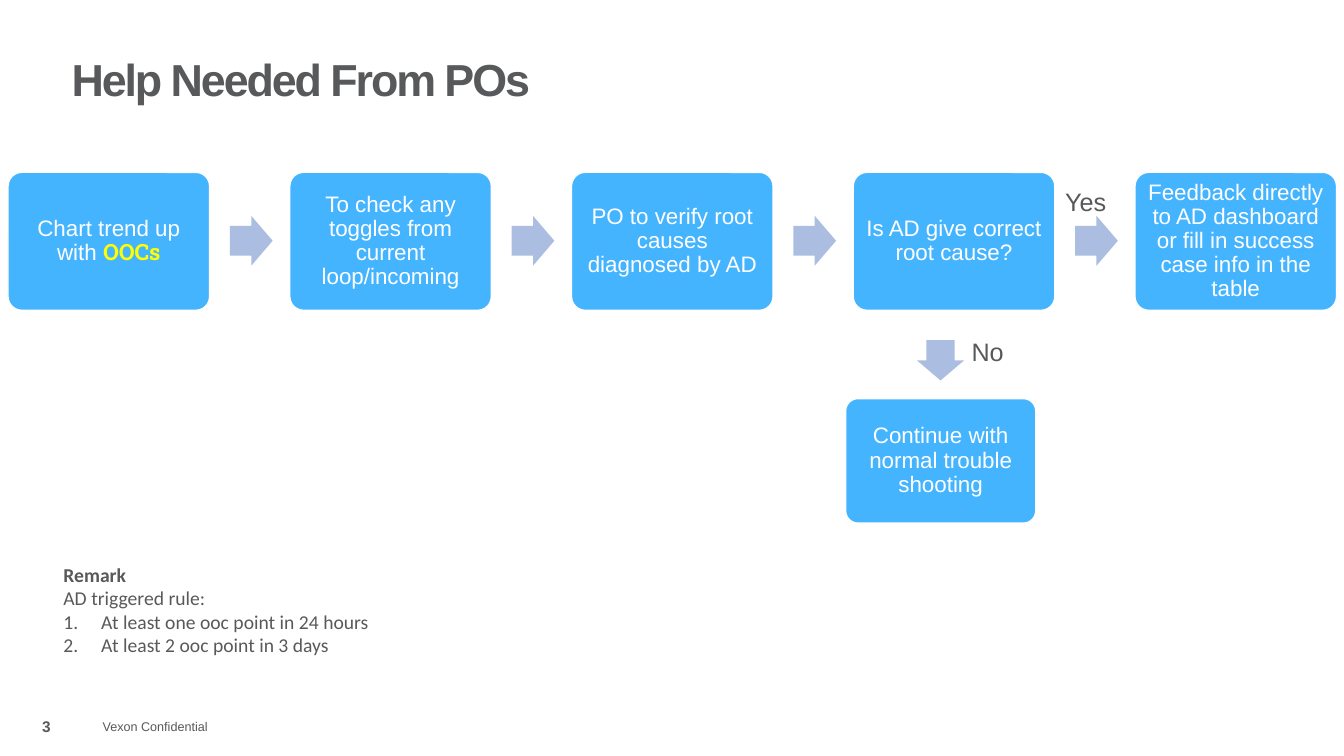
from lxml.etree import SubElement
from pptx import Presentation
from pptx.dml.color import RGBColor
from pptx.enum.shapes import MSO_SHAPE as Shape
from pptx.enum.text import MSO_ANCHOR as Anchor, MSO_AUTO_SIZE as AutoSize, PP_ALIGN as Align
from pptx.oxml.ns import qn
from pptx.util import Pt

TITLE = "Help Needed From POs"
STEPS = [
    [("Chart trend up with ", "Arial", "FFFFFF", False), ("OOCs", "Roboto Slab", "FFFF00", True)],
    [("To check any toggles from current loop/incoming", "Arial", "FFFFFF", False)],
    [("PO to verify root causes diagnosed by AD", "Arial", "FFFFFF", False)],
    [("Is AD give correct root cause?", "Arial", "FFFFFF", False)],
    [("Feedback directly to AD dashboard or fill in success case info in the table",
      "Arial", "FFFFFF", False)],
]
FALLBACK = [("Continue with normal trouble shooting", "Arial", "FFFFFF", False)]
BRANCHES = [("Yes", 753.8, 129.6), ("No", 686.9, 236.9)]
REMARK = ["Remark", "AD triggered rule:"]
RULES = ["At least one ooc point in 24 hours", "At least 2 ooc point in 3 days"]
FOOTER, NUMBER = "Vexon Confidential", "3"

GREY, BLUE, PALE, WHITE = "58595B", "45B4FF", "ABBDE0", "FFFFFF"
FIRST, PITCH, STEP_TOP, STEP_WIDTH, STEP_HEIGHT = 5.76, 201.24, 123.1, 144, 98.6
ARROW_OFFSET, ARROW_TOP, ARROW_WIDTH, ARROW_HEIGHT = 158.5, 154.2, 30.5, 35.6


def colour(target, value):
    target.rgb = RGBColor.from_string(value)


def style(span, size, font="Arial", value=GREY, bold=False):
    span.font.size = Pt(size)
    span.font.name = font
    span.font.bold = bold
    colour(span.font.color, value)


def add_shape(kind, left, top, width, height, fill, *adjustments):
    shape = page.shapes.add_shape(kind, Pt(left), Pt(top), Pt(width), Pt(height))
    shape.shadow.inherit = False
    shape.fill.solid()
    colour(shape.fill.fore_color, fill)
    shape.line.fill.background()
    for index, value in enumerate(adjustments):
        shape.adjustments[index] = value
    return shape


def add_step(left, top, width, height, pieces):
    box = add_shape(Shape.ROUNDED_RECTANGLE, left, top, width, height, BLUE, 0.1)
    box.line.fill.solid()
    colour(box.line.color, WHITE)
    box.line.width = Pt(1)
    frame = box.text_frame
    frame.word_wrap = True
    frame.vertical_anchor = Anchor.MIDDLE
    frame.margin_left = frame.margin_right = frame.margin_top = frame.margin_bottom = Pt(5)
    para = frame.paragraphs[0]
    para.alignment = Align.CENTER
    para.line_spacing = 0.9
    for text, font, value, bold in pieces:
        span = para.add_run()
        span.text = text
        style(span, 16, font, value, bold)


def add_arrow(left, top, width, height):
    return add_shape(Shape.RIGHT_ARROW, left, top, width, height, PALE, 0.6, 0.5)


def add_text(text, left, top, width, height, size, font="Arial", bold=False, anchor=Anchor.TOP):
    box = page.shapes.add_textbox(Pt(left), Pt(top), Pt(width), Pt(height))
    frame = box.text_frame
    frame.word_wrap = True
    frame.vertical_anchor = anchor
    frame.text = text
    for para in frame.paragraphs:
        style(para.runs[0], size, font, GREY, bold)
    return frame


deck = Presentation()
deck.slide_width, deck.slide_height = Pt(960), Pt(540)
page = deck.slides.add_slide(deck.slide_layouts[5])

title = page.shapes.title
title.left, title.top, title.width, title.height = Pt(43.9), Pt(33.8), Pt(828), Pt(49.7)
title.text_frame.text = TITLE
title.text_frame.auto_size = AutoSize.NONE
title.text_frame.vertical_anchor = Anchor.MIDDLE
heading = title.text_frame.paragraphs[0]
heading.alignment = Align.LEFT
heading.line_spacing = 0.9
style(heading.runs[0], 32, bold=True)
heading.runs[0].font._element.set("spc", "-150")

add_text(FOOTER, 66.2, 504.7, 109.4, 28.8, 9, anchor=Anchor.MIDDLE)
number = add_text(NUMBER, 0, 504.7, 66.2, 28.8, 11, bold=True, anchor=Anchor.MIDDLE)
number.paragraphs[0].alignment = Align.CENTER

for index, pieces in enumerate(STEPS):
    left = FIRST + index * PITCH
    add_step(left, STEP_TOP, STEP_WIDTH, STEP_HEIGHT, pieces)
    if index < len(STEPS) - 1:
        add_arrow(left + ARROW_OFFSET, ARROW_TOP, ARROW_WIDTH, ARROW_HEIGHT)

add_arrow(657.4, 240.5, 28.8, 33.8).rotation = 90
add_step(604, 284.7, 135.9, 89, FALLBACK)
for text, left, top in BRANCHES:
    add_text(text, left, top, 50.4, 28.8, 18)

remark = add_text("\n".join(REMARK + RULES), 38.2, 398.2, 258.5, 74.9, 14, "Calibri")
remark.paragraphs[0].runs[0].font.bold = True
for para in remark.paragraphs[len(REMARK):]:
    properties = para._p.get_or_add_pPr()
    properties.set("marL", str(Pt(27)))
    properties.set("indent", str(-Pt(27)))
    SubElement(properties, qn("a:buAutoNum"), type="arabicPeriod")

deck.save("out.pptx")
